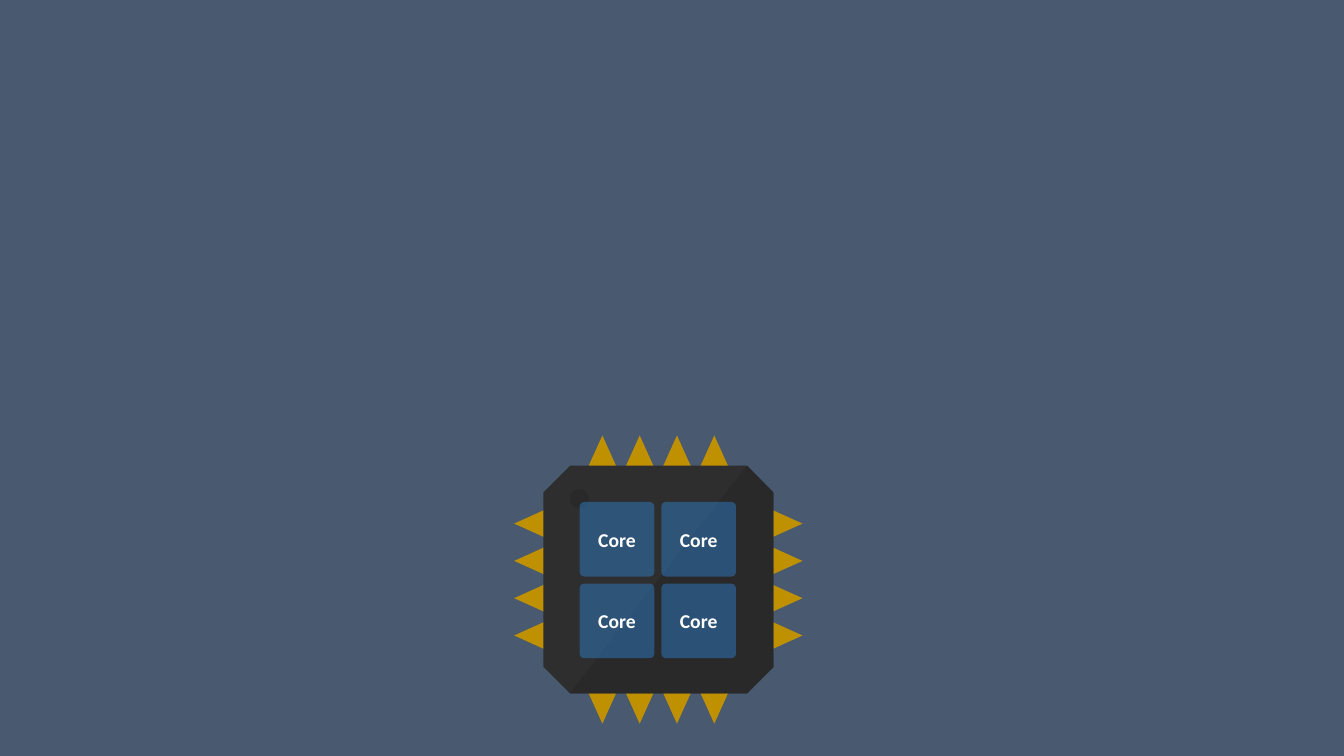
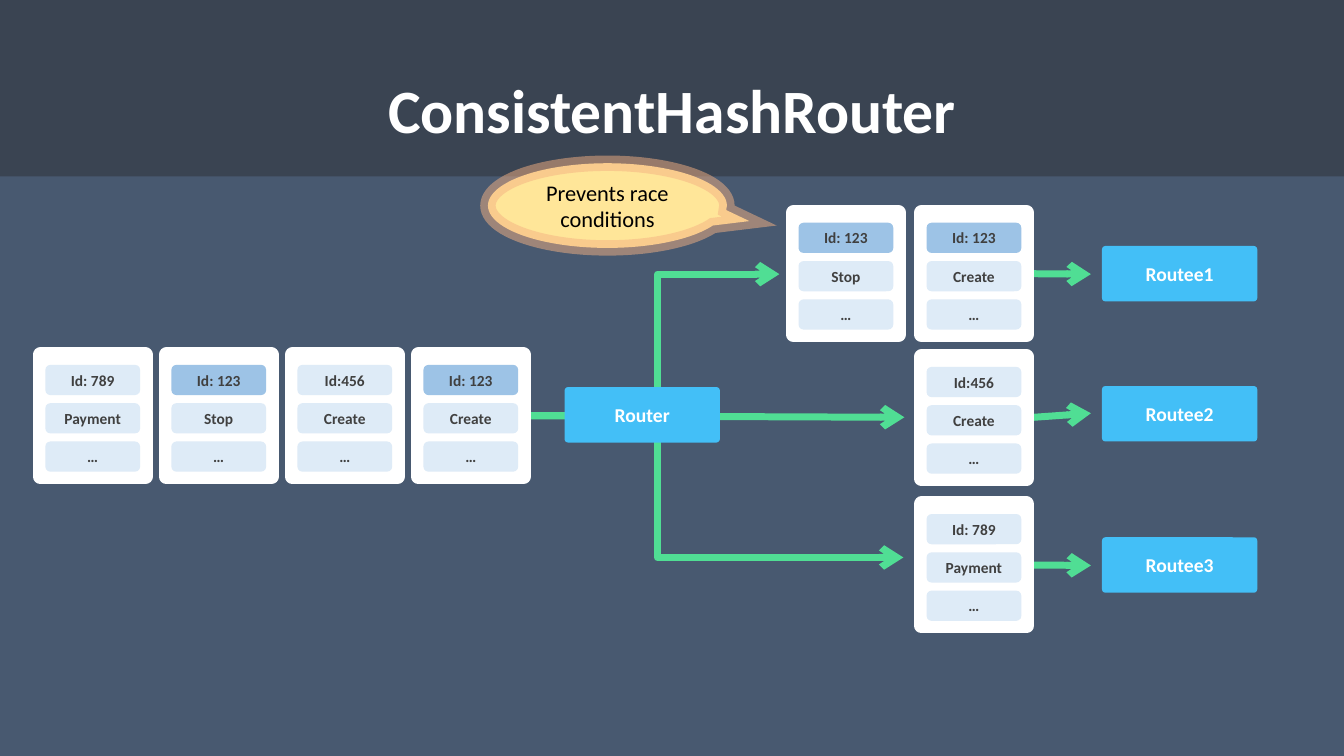
import lxml.etree
import pptx
import pptx.dml.color
import pptx.enum.shapes
import pptx.enum.text
import pptx.oxml.ns
import pptx.util

Inches = pptx.util.Inches
RGBColor = pptx.dml.color.RGBColor
SHAPE = pptx.enum.shapes.MSO_SHAPE
CONNECTOR = pptx.enum.shapes.MSO_CONNECTOR
qn = pptx.oxml.ns.qn

FONT = "Calibri"
BACKGROUND = RGBColor(0x48, 0x59, 0x70)
BAND = RGBColor(0x26, 0x26, 0x26)
WHITE = RGBColor(0xFF, 0xFF, 0xFF)
BLACK = RGBColor(0x00, 0x00, 0x00)
GOLD = RGBColor(0xBF, 0x90, 0x00)
CHIP_BODY = RGBColor(0x2E, 0x2E, 0x2E)
CHIP_SHADE = RGBColor(0x29, 0x29, 0x29)
CORE_BLUE = RGBColor(0x2E, 0x75, 0xB6)
GREEN = RGBColor(0x50, 0xDE, 0x94)
NODE_BLUE = RGBColor(0x43, 0xBF, 0xF7)
FIELD = RGBColor(0xDE, 0xEB, 0xF7)
FIELD_MARKED = RGBColor(0x9D, 0xC3, 0xE6)
FIELD_TEXT = RGBColor(0x40, 0x40, 0x40)
CALLOUT_FILL = RGBColor(0xFF, 0xE6, 0x99)
CALLOUT_LINE = RGBColor(0xF4, 0xB1, 0x83)

CARD_WIDTH, CARD_HEIGHT = 1.04, 1.21
NODE_WIDTH, NODE_HEIGHT = 1.54, 0.55
MARKED_ID = "Id: 123"


def add_element(parent, tag, **attributes):
    return lxml.etree.SubElement(parent, qn(tag), attributes)


def set_alpha(fill, percent):
    color = fill._xPr.find(".//" + qn("a:srgbClr"))
    add_element(color, "a:alpha", val=str(percent * 1000))


def paint(shape, color, alpha=None):
    shape.shadow.inherit = False
    shape.fill.solid()
    shape.fill.fore_color.rgb = color
    if alpha is not None:
        set_alpha(shape.fill, alpha)
    shape.line.fill.background()
    return shape


def outline(shape, color, width, join, alpha=None):
    shape.line.color.rgb = color
    shape.line.width = pptx.util.Pt(width)
    if alpha is not None:
        set_alpha(shape.line.fill, alpha)
    add_element(shape.line._get_or_add_ln(), join)


def write(shape, text, size, color, bold=True):
    frame = shape.text_frame
    frame.word_wrap = True
    frame.vertical_anchor = pptx.enum.text.MSO_ANCHOR.MIDDLE
    frame.text = text
    paragraph = frame.paragraphs[0]
    paragraph.alignment = pptx.enum.text.PP_ALIGN.CENTER
    font = paragraph.runs[0].font
    font.name = FONT
    font.size = pptx.util.Pt(size)
    font.bold = bold
    font.color.rgb = color
    return paragraph


def add_box(shapes, kind, box, color, alpha=None, adjustments=()):
    shape = shapes.add_shape(kind, *map(Inches, box))
    for index, value in enumerate(adjustments):
        shape.adjustments[index] = value
    return paint(shape, color, alpha)


def add_outline_shape(shapes, polygons, left, top, color):
    contours = [[(Inches(left + x), Inches(top + y)) for x, y in polygon]
                for polygon in polygons]
    builder = shapes.build_freeform(*contours[0][0])
    for index, points in enumerate(contours):
        if index:
            builder.move_to(*points[0])
        builder.add_line_segments(points[1:], close=True)
    return paint(builder.convert_to_shape(), color)


def add_slide(presentation):
    slide = presentation.slides.add_slide(presentation.slide_layouts[6])
    slide.background.fill.solid()
    slide.background.fill.fore_color.rgb = BACKGROUND
    return slide


def pin_triangles(size, depth=0.31, half_width=0.14, pitch=0.37, count=4):
    first = (size - (count - 1) * pitch) / 2
    triangles = []
    for index in range(count):
        center = first + index * pitch
        for tip, base in ((0, depth), (size, size - depth)):
            triangle = [(center - half_width, base), (center, tip),
                        (center + half_width, base)]
            triangles.append(triangle)
            triangles.append([(y, x) for x, y in triangle])
    return triangles


def add_chip(slide, left, top, size):
    shapes = slide.shapes.add_group_shape().shapes
    add_outline_shape(shapes, pin_triangles(size), left, top, GOLD)
    add_box(shapes, SHAPE.OCTAGON, (left + 0.29, top + 0.3, 2.28, 2.26),
            CHIP_BODY, adjustments=(0.117,))
    shade = [(0.55, 2.56), (2.31, 0.3), (2.57, 0.57), (2.57, 2.3), (2.31, 2.56)]
    add_outline_shape(shapes, [shade], left, top, CHIP_SHADE)
    add_box(shapes, SHAPE.OVAL, (left + 0.55, top + 0.53, 0.19, 0.19), CHIP_SHADE)
    for row in range(2):
        for column in range(2):
            box = (left + 0.65 + column * 0.81, top + 0.66 + row * 0.81, 0.74, 0.74)
            core = add_box(shapes, SHAPE.ROUNDED_RECTANGLE, box, CORE_BLUE, 55, (0.062,))
            write(core, "Core", 14, WHITE)


def add_title(slide, text, width):
    add_box(slide.shapes, SHAPE.ROUNDED_RECTANGLE, (0, 0, width, 1.75), BAND, 40, (0,))
    title = slide.shapes.add_textbox(*map(Inches, (0.92, 0.4, 11.5, 1.45)))
    write(title, text, 44, WHITE).line_spacing = 0.9


def add_card(slide, left, top, identifier, action):
    card = add_box(slide.shapes, SHAPE.ROUNDED_RECTANGLE,
                   (left, top, CARD_WIDTH, CARD_HEIGHT), WHITE, adjustments=(0,))
    outline(card, WHITE, 10.75, "a:round")
    for row, text in enumerate((identifier, action, "…")):
        color = FIELD_MARKED if text == MARKED_ID else FIELD
        box = (left + 0.05, top + 0.1 + row * 0.38, 0.94, 0.3)
        field = add_box(slide.shapes, SHAPE.ROUNDED_RECTANGLE, box, color)
        write(field, text, 11, FIELD_TEXT)
    return card


def add_node(slide, left, top, text):
    node = add_box(slide.shapes, SHAPE.ROUNDED_RECTANGLE,
                   (left, top, NODE_WIDTH, NODE_HEIGHT), NODE_BLUE, adjustments=(0.062,))
    write(node, text, 14, WHITE)


def add_arrow(slide, card, end_x, end_y, trunk_x=None):
    start_x = card.left + card.width
    start_y = card.top + card.height // 2
    kind = CONNECTOR.STRAIGHT if trunk_x is None else CONNECTOR.ELBOW
    arrow = slide.shapes.add_connector(kind, start_x, start_y,
                                       Inches(end_x), Inches(end_y))
    if trunk_x is None:
        arrow.begin_connect(card, 3)
    else:
        share = (Inches(trunk_x) - start_x) / (Inches(end_x) - start_x)
        guides = arrow._element.spPr.find(qn("a:prstGeom")).get_or_add_avLst()
        add_element(guides, "a:gd", name="adj1", fmla=f"val {round(share * 100000)}")
    arrow.line.color.rgb = GREEN
    arrow.line.width = pptx.util.Pt(5)
    add_element(arrow.line._get_or_add_ln(), "a:tailEnd", type="arrow")
    add_element(arrow._element.spPr, "a:effectLst")
    card._element.addprevious(arrow._element)


def add_queue(slide, left, top, messages):
    return [add_card(slide, left + index * 1.25, top, *message)
            for index, message in enumerate(messages)][-1]


def add_route(slide, card_top, node_top, arrow_y, message, name):
    card = add_card(slide, 9.14, card_top, *message)
    add_arrow(slide, card, 10.82, arrow_y)
    add_node(slide, 10.93, node_top, name)


def add_callout(slide, box, text):
    callout = add_box(slide.shapes, SHAPE.OVAL_CALLOUT, box, CALLOUT_FILL,
                      adjustments=(0.594, 0.183))
    outline(callout, CALLOUT_LINE, 11, "a:miter", 50)
    write(callout, text, 16, BLACK, bold=False)


def build_router_slide(presentation):
    slide = add_slide(presentation)
    add_title(slide, "ConsistentHashRouter", 13.33)
    create, stop = (MARKED_ID, "Create"), (MARKED_ID, "Stop")
    other, payment = ("Id:456", "Create"), ("Id: 789", "Payment")
    last_card = add_queue(slide, 0.4, 3.52, (payment, stop, other, create))
    add_arrow(slide, last_card, 8.97, 4.14)
    for end_x, end_y in ((7.73, 2.72), (8.96, 5.53)):
        add_arrow(slide, last_card, end_x, end_y, trunk_x=6.52)
    add_node(slide, 5.6, 3.84, "Router")
    add_card(slide, 7.87, 2.11, *stop)
    add_route(slide, 2.11, 2.44, 2.72, create, "Routee1")
    add_route(slide, 3.54, 3.83, 4.1, other, "Routee2")
    add_route(slide, 5.0, 5.33, 5.61, payment, "Routee3")
    add_callout(slide, (4.84, 1.62, 2.37, 0.84), "Prevents race conditions")


def main():
    presentation = pptx.Presentation()
    presentation.slide_width = Inches(13.33)
    presentation.slide_height = Inches(7.5)
    add_chip(add_slide(presentation), 5.1, 4.32, 2.86)
    build_router_slide(presentation)
    presentation.save("out.pptx")


if __name__ == "__main__":
    main()
